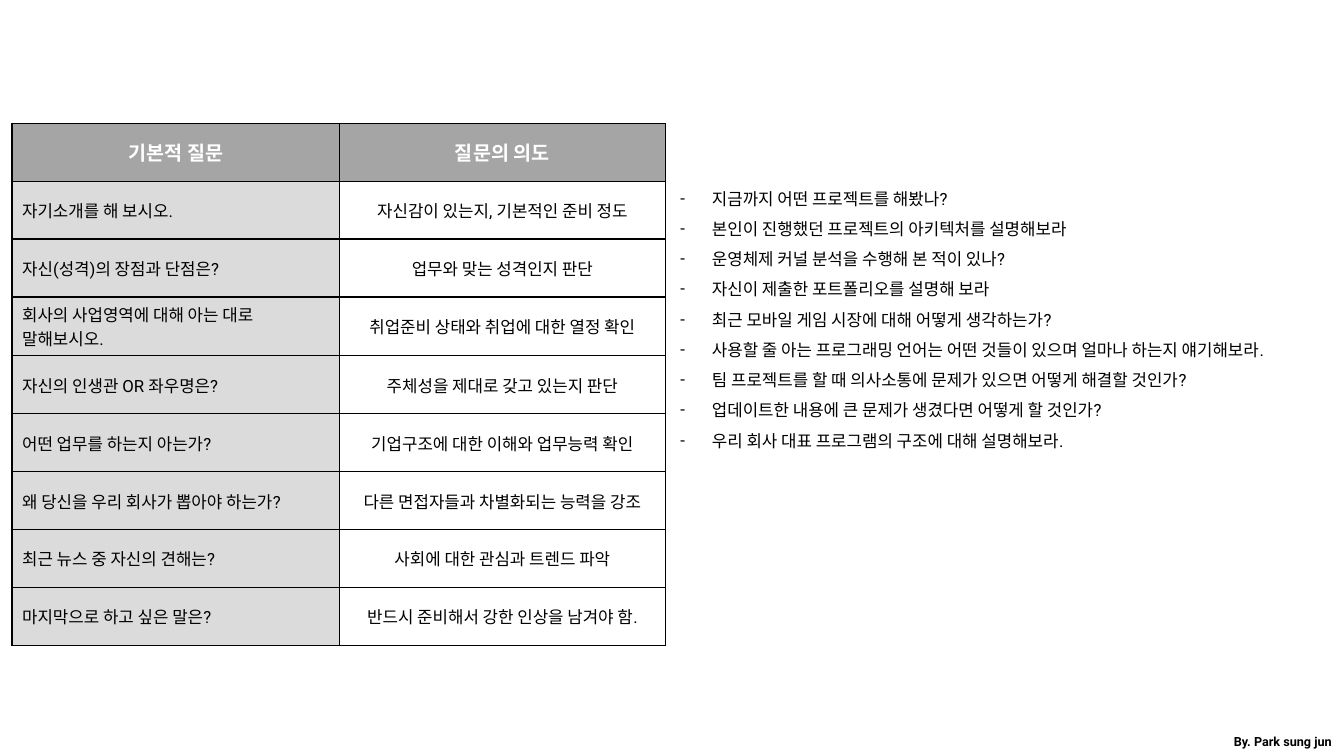
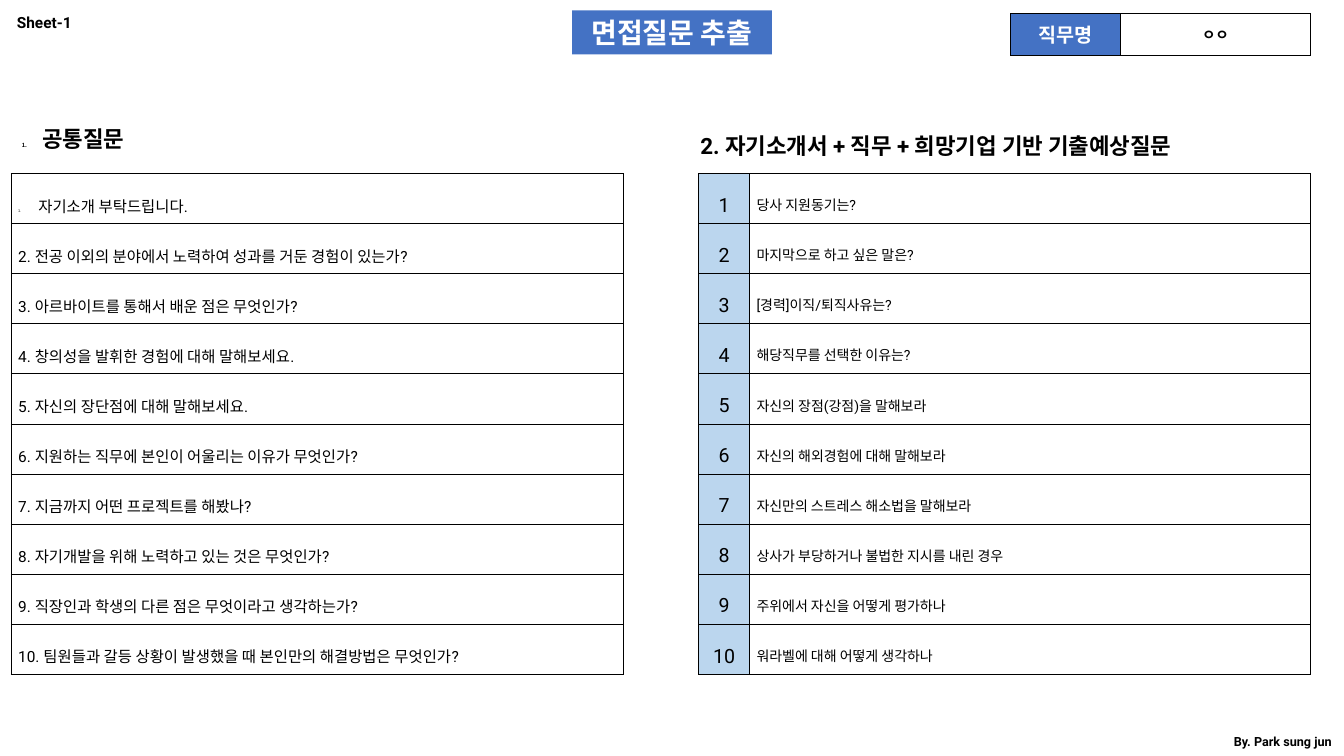
from lxml.etree import SubElement
from pptx import Presentation
from pptx.dml.color import RGBColor
from pptx.enum.text import MSO_ANCHOR, MSO_AUTO_SIZE, PP_ALIGN
from pptx.oxml import parse_xml
from pptx.oxml.ns import nsdecls, qn
from pptx.util import Pt

# Content
BASIC = [
    ("기본적 질문", "질문의 의도"),
    ("자기소개를 해 보시오.", "자신감이 있는지, 기본적인 준비 정도"),
    ("자신(성격)의 장점과 단점은?", "업무와 맞는 성격인지 판단"),
    ("회사의 사업영역에 대해 아는 대로 말해보시오.", "취업준비 상태와 취업에 대한 열정 확인"),
    ("자신의 인생관 OR 좌우명은?", "주체성을 제대로 갖고 있는지 판단"),
    ("어떤 업무를 하는지 아는가?", "기업구조에 대한 이해와 업무능력 확인"),
    ("왜 당신을 우리 회사가 뽑아야 하는가?", "다른 면접자들과 차별화되는 능력을 강조"),
    ("최근 뉴스 중 자신의 견해는?", "사회에 대한 관심과 트렌드 파악"),
    ("마지막으로 하고 싶은 말은?", "반드시 준비해서 강한 인상을 남겨야 함."),
]
TECH = [
    "지금까지 어떤 프로젝트를 해봤나?",
    "본인이 진행했던 프로젝트의 아키텍처를 설명해보라",
    "운영체제 커널 분석을 수행해 본 적이 있나?",
    "자신이 제출한 포트폴리오를 설명해 보라",
    "최근 모바일 게임 시장에 대해 어떻게 생각하는가?",
    "사용할 줄 아는 프로그래밍 언어는 어떤 것들이 있으며 얼마나 하는지 얘기해보라.",
    "팀 프로젝트를 할 때 의사소통에 문제가 있으면 어떻게 해결할 것인가?",
    "업데이트한 내용에 큰 문제가 생겼다면 어떻게 할 것인가?",
    "우리 회사 대표 프로그램의 구조에 대해 설명해보라.",
]
COMMON = [
    "자기소개 부탁드립니다.",
    "전공 이외의 분야에서 노력하여 성과를 거둔 경험이 있는가?",
    "아르바이트를 통해서 배운 점은 무엇인가?",
    "창의성을 발휘한 경험에 대해 말해보세요.",
    "자신의 장단점에 대해 말해보세요.",
    "지원하는 직무에 본인이 어울리는 이유가 무엇인가?",
    "지금까지 어떤 프로젝트를 해봤나?",
    "자기개발을 위해 노력하고 있는 것은 무엇인가?",
    "직장인과 학생의 다른 점은 무엇이라고 생각하는가?",
    "팀원들과 갈등 상황이 발생했을 때 본인만의 해결방법은 무엇인가?",
]
LIKELY = [
    "당사 지원동기는?",
    "마지막으로 하고 싶은 말은?",
    "[경력]이직/퇴직사유는?",
    "해당직무를 선택한 이유는?",
    "자신의 장점(강점)을 말해보라",
    "자신의 해외경험에 대해 말해보라",
    "자신만의 스트레스 해소법을 말해보라",
    "상사가 부당하거나 불법한 지시를 내린 경우",
    "주위에서 자신을 어떻게 평가하나",
    "워라벨에 대해 어떻게 생각하나",
]

# Shared look
FONT = "Roboto"
HEX = {"ink": "000000", "white": "FFFFFF", "blue": "4472C4", "sky": "BBD6EE",
       "gray": "A5A5A5", "pale": "DBDBDB"}
MID, RIGHT, FULL = PP_ALIGN.CENTER, PP_ALIGN.RIGHT, PP_ALIGN.JUSTIFY
DASH = {"hang": 22.5, "marks": [("buFont", {"typeface": FONT}), ("buChar", {"char": "-"})]}
TINY = {"hang": 14.4, "marks": [("buSzPct", {"val": "25000"}),
                                ("buAutoNum", {"type": "arabicPeriod"})]}


def tint(name):
    return RGBColor.from_string(HEX[name])


def paint(fill, name):
    if name:
        fill.solid()
        fill.fore_color.rgb = tint(name)
    else:
        fill.background()


def mark(para, hang, marks):
    props = para._p.get_or_add_pPr()
    props.set("marL", str(Pt(hang)))
    props.set("indent", str(-Pt(hang)))
    color = SubElement(props, qn("a:buClr"))
    SubElement(color, qn("a:srgbClr"), val=HEX["ink"])
    for tag, attrs in marks:
        SubElement(props, qn("a:" + tag), attrs)


def write(frame, lines, size, bold=False, color="ink", align=PP_ALIGN.LEFT,
          space=1.0, bullet=None):
    for i, line in enumerate(lines):
        para = frame.add_paragraph() if i else frame.paragraphs[0]
        para.text = line
        if bullet:
            mark(para, **bullet)
        para.alignment = align
        para.line_spacing = space
        para.space_before = Pt(0)
        font = para.font
        font.name, font.size, font.bold = FONT, Pt(size), bold
        font.color.rgb = tint(color)


def place(shape, box, lines, **style):
    shape.left, shape.top, shape.width, shape.height = map(Pt, box)
    frame = shape.text_frame
    frame.word_wrap = True
    frame.auto_size = MSO_AUTO_SIZE.NONE
    frame.vertical_anchor = MSO_ANCHOR.TOP
    write(frame, lines, **style)


def label(slide, box, text, **style):
    place(slide.shapes.add_textbox(0, 0, 0, 0), box, [text], **style)


def edge(cell, width):
    props = cell._tc.get_or_add_tcPr()
    for i, side in enumerate("LRTB"):
        props.insert(i, parse_xml(
            f'<a:ln{side} {nsdecls("a")} w="{Pt(width)}"><a:solidFill>'
            f'<a:srgbClr val="{HEX["ink"]}"/></a:solidFill></a:ln{side}>'))


def grid(slide, spot, cols, high, rows, look, line=0.75, pad=(7.2, 3.6)):
    """Draw a table; look(row, col) gives a cell's fill and text style."""
    left, top = spot
    table = slide.shapes.add_table(len(rows), len(cols), Pt(left), Pt(top),
                                   Pt(sum(cols)), Pt(high * len(rows))).table
    table.first_row = table.horz_banding = False
    for col, wide in zip(table.columns, cols):
        col.width = Pt(wide)
    for r, row in enumerate(rows):
        table.rows[r].height = Pt(high)
        for c, text in enumerate(row):
            cell = table.cell(r, c)
            fill, style = look(r, c)
            cell.margin_left = cell.margin_right = Pt(pad[0])
            cell.margin_top = cell.margin_bottom = Pt(pad[1])
            cell.vertical_anchor = MSO_ANCHOR.MIDDLE
            paint(cell.fill, fill)
            edge(cell, line)
            write(cell.text_frame, [text], **style)


def start(deck, layout):
    slide = deck.slides.add_slide(deck.slide_layouts[layout])
    label(slide, (840, 520.6, 118.3, 18), "By. Park sung jun", size=9, bold=True, align=RIGHT)
    return slide


# Cell looks
def basic(r, c):
    if r == 0:
        return "gray", dict(size=14, bold=True, color="white", align=MID)
    return ("white", dict(size=12, align=MID)) if c else ("pale", dict(size=12))


def common(r, c):
    return None, dict(size=11, align=FULL, space=1.6, bullet=None if r else TINY)


def likely(r, c):
    if c:
        return None, dict(size=10, space=1.6)
    return "sky", dict(size=14, align=MID, space=1.6)


def job(r, c):
    if c:
        return "white", dict(size=10.5, bold=True, align=MID)
    return "blue", dict(size=14, bold=True, color="white", align=MID)


def main():
    deck = Presentation()
    deck.slide_width, deck.slide_height = Pt(960), Pt(540)

    # Basic questions and their intent
    slide = start(deck, 1)
    title = slide.shapes.title.element
    title.getparent().remove(title)
    grid(slide, (8.6, 88), (234, 232.6), 41.4, BASIC, basic, line=1)
    place(slide.placeholders[1], (478.8, 123.8, 480, 196.6), TECH,
          size=12, space=1.5, bullet=DASH)

    # Question sheet
    slide = start(deck, 5)
    title = slide.shapes.title
    place(title, (408.7, 7.4, 142.6, 31.5), ["면접질문 추출"],
          size=20, bold=True, color="white", align=MID)
    paint(title.fill, "blue")
    label(slide, (5, 5.8, 80, 21), "Sheet-1", size=11, bold=True)
    grid(slide, (721.8, 9.8), (78.4, 136), 29.5, [("직무명", "ㅇㅇ")], job)

    head = dict(size=16, bold=True, align=FULL, space=1.6)
    label(slide, (8.6, 74.2, 143.3, 35.3), "공통질문", bullet=TINY, **head)
    label(slide, (493.2, 79.2, 437, 33.8),
          "2. 자기소개서 + 직무 + 희망기업 기반 기출예상질문", **head)
    sheet = dict(high=35.8, pad=(5, 1.4))
    asks = [(f"{n}. {text}" if n > 1 else text,) for n, text in enumerate(COMMON, 1)]
    grid(slide, (8, 124), (437,), rows=asks, look=common, **sheet)
    asks = [(str(n), text) for n, text in enumerate(LIKELY, 1)]
    grid(slide, (499, 124), (36.4, 400.6), rows=asks, look=likely, **sheet)

    deck.save("out.pptx")


if __name__ == "__main__":
    main()
